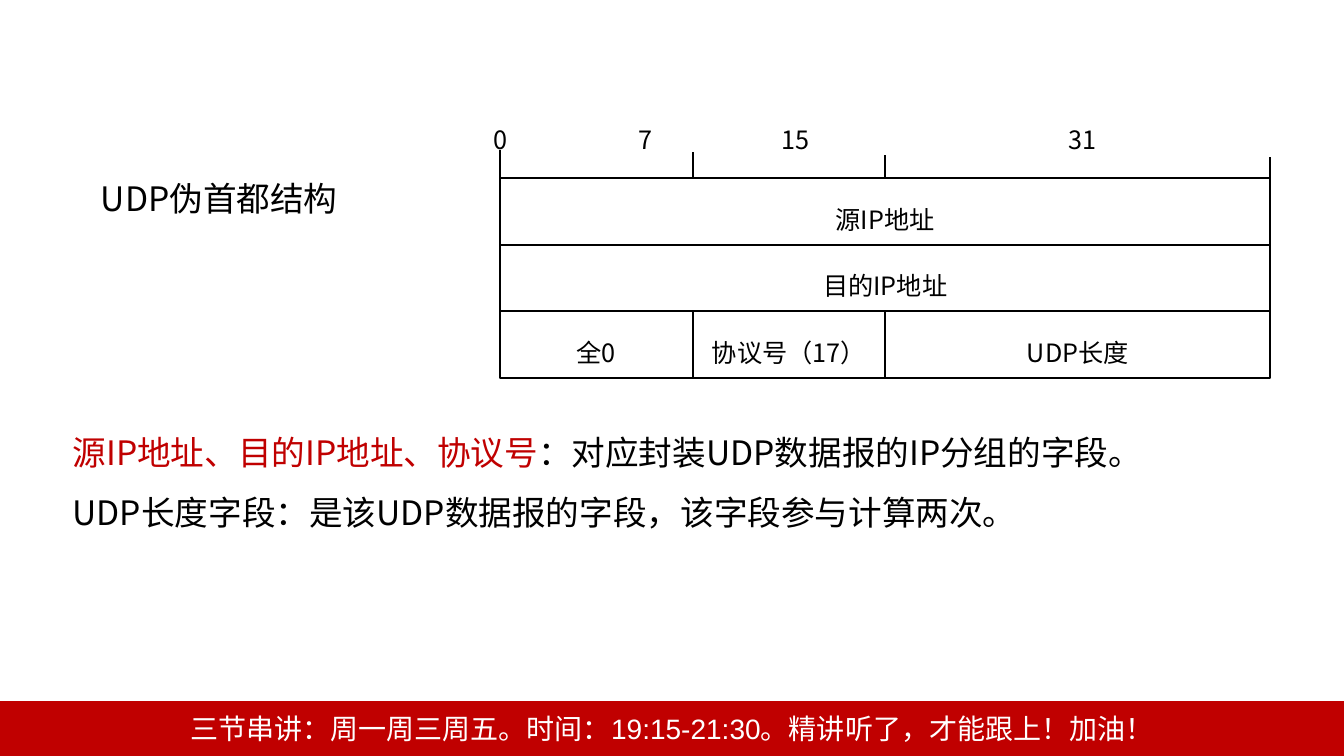
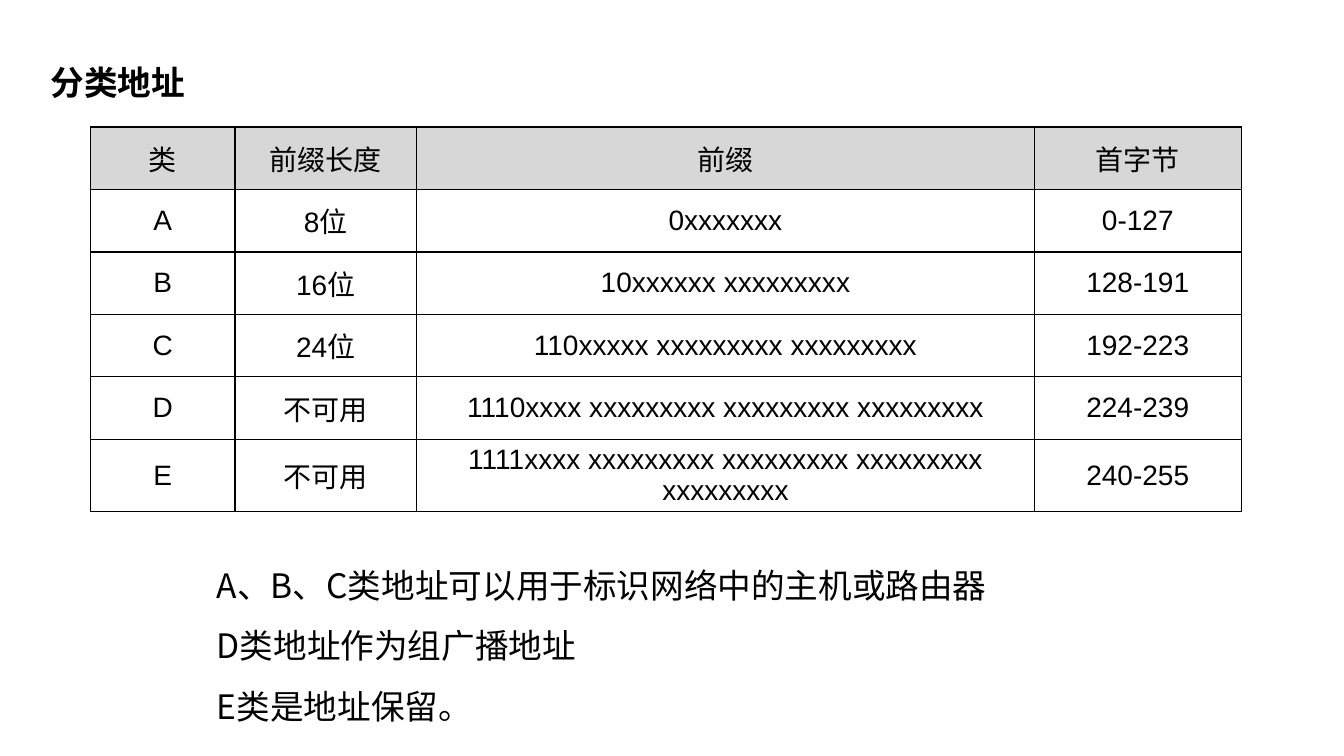
from dataclasses import dataclass
from typing import Any, NamedTuple

from lxml.etree import SubElement
from pptx import Presentation
from pptx.dml.color import RGBColor
from pptx.enum.shapes import MSO_CONNECTOR as Connector, MSO_SHAPE as Preset
from pptx.enum.text import MSO_ANCHOR as Anchor, MSO_AUTO_SIZE as AutoSize, PP_ALIGN as Align
from pptx.oxml.ns import qn
from pptx.util import Pt

BLACK = RGBColor(0x00, 0x00, 0x00)
WHITE = RGBColor(0xFF, 0xFF, 0xFF)
RED = RGBColor(0xC0, 0x00, 0x00)
GREY = RGBColor(0xD7, 0xD7, 0xD7)

EMU_PER_PX = 9144
SLIDE_W, SLIDE_H = 1333, 750
CJK_FONT, LATIN_FONT = "Noto Sans CJK SC", "Arial"

LOOSE = {"alignment": Align.LEFT, "line_spacing": 1.5, "space_before": Pt(0)}
HEADING = LOOSE | {"line_spacing": Pt(37)}
CENTRED = {"alignment": Align.CENTER}
CENTRED_LOOSE = CENTRED | {"line_spacing": 1.5}
TEXT_FONT = {"size": Pt(24), "name": CJK_FONT, "bold": False}
HEADING_FONT = TEXT_FONT | {"bold": True}
FIELD_FONT = TEXT_FONT | {"size": Pt(18)}
TABLE_FONT = {"size": Pt(20), "name": LATIN_FONT, "bold": False}
TOP_FRAME = {"word_wrap": True, "auto_size": AutoSize.NONE, "vertical_anchor": Anchor.TOP}
MIDDLE_FRAME = TOP_FRAME | {"vertical_anchor": Anchor.MIDDLE}


class Box(NamedTuple):
    left: int
    top: int
    width: int
    height: int


class Span(NamedTuple):
    text: str
    color: RGBColor = BLACK


@dataclass(frozen=True)
class HeaderField:
    label: str
    row: int
    first_octet: int
    octets: int


@dataclass(frozen=True)
class OctetTick:
    octet: int
    top: int
    bottom: int


HEADER_LEFT, HEADER_TOP, OCTET_W, FIELD_H = 496, 177, 191, 66
HEADER_FIELDS = [
    HeaderField("目的IP地址", 1, 0, 4),
    HeaderField("源IP地址", 0, 0, 4),
    HeaderField("全0", 2, 0, 1),
    HeaderField("UDP长度", 2, 2, 2),
    HeaderField("协议号（17）", 2, 1, 1),
]
OCTET_TICKS = [
    OctetTick(0, 149, 185),
    OctetTick(1, 151, 177),
    OctetTick(2, 154, 177),
    OctetTick(4, 156, 192),
]
BIT_NUMBERS = ["0", "7", "15", "31"]
BIT_TABS = [143, 285, 570]

CLASS_COLUMNS = [143, 180, 613, 205]
CLASS_ROW_H = 62
OCTET = "xxxxxxxxx"
ADDRESS_CLASSES = [
    ["类", "前缀长度", "前缀", "首字节"],
    ["A", "8位", "0xxxxxxx", "0-127"],
    ["B", "16位", f"10xxxxxx {OCTET}", "128-191"],
    ["C", "24位", f"110xxxxx {OCTET} {OCTET}", "192-223"],
    ["D", "不可用", f"1110xxxx {OCTET} {OCTET} {OCTET}", "224-239"],
    ["E", "不可用", f"1111xxxx {OCTET} {OCTET} {OCTET} {OCTET}", "240-255"],
]


def px(length: int) -> int:
    return length * EMU_PER_PX


def emu(box: Box) -> list[int]:
    return [px(length) for length in box]


def apply(target: Any, values: dict[str, Any]) -> None:
    for name, value in values.items():
        setattr(target, name, value)


def write(frame: Any, lines: list[list[Span]], layout: dict, font: dict) -> None:
    for number, spans in enumerate(lines):
        paragraph = frame.add_paragraph() if number else frame.paragraphs[0]
        apply(paragraph, layout)
        for span in spans:
            run = paragraph.add_run()
            run.text = span.text
            apply(run.font, font)
            run.font.color.rgb = span.color
            SubElement(run._r.get_or_add_rPr(), qn("a:ea"), typeface=CJK_FONT)


def fill_placeholder(holder: Any, box: Box, lines: list[list[Span]],
                     layout: dict, font: dict) -> None:
    holder.left, holder.top, holder.width, holder.height = emu(box)
    apply(holder.text_frame, TOP_FRAME)
    write(holder.text_frame, lines, layout, font)
    for paragraph in holder.text_frame.paragraphs:
        properties = paragraph._p.get_or_add_pPr()
        properties.set("marL", "0")
        properties.set("indent", "0")
        SubElement(properties, qn("a:buNone"))


def add_panel(slide: Any, box: Box, span: Span, layout: dict, font: dict,
              fill: RGBColor | None, line: RGBColor, weight: float) -> None:
    panel = slide.shapes.add_shape(Preset.RECTANGLE, *emu(box))
    panel.shadow.inherit = False
    if fill is None:
        panel.fill.background()
    else:
        panel.fill.solid()
        panel.fill.fore_color.rgb = fill
    panel.line.color.rgb = line
    panel.line.width = Pt(weight)
    apply(panel.text_frame, MIDDLE_FRAME)
    write(panel.text_frame, [[span]], layout, font)


def octet_x(octet: int) -> int:
    return HEADER_LEFT + octet * OCTET_W


def add_header_diagram(slide: Any) -> None:
    for field in HEADER_FIELDS:
        box = Box(octet_x(field.first_octet), HEADER_TOP + field.row * FIELD_H,
                  field.octets * OCTET_W, FIELD_H)
        add_panel(slide, box, Span(field.label), CENTRED_LOOSE, FIELD_FONT, None, BLACK, 1.5)
    for tick in OCTET_TICKS:
        x = px(octet_x(tick.octet))
        mark = slide.shapes.add_connector(Connector.STRAIGHT, x, px(tick.top), x, px(tick.bottom))
        mark.line.color.rgb = BLACK
        mark.line.width = Pt(1.5)
        SubElement(mark._element.spPr, qn("a:effectLst"))
    ruler = slide.shapes.add_textbox(*emu(Box(480, 103, 812, 50))).text_frame
    apply(ruler, TOP_FRAME)
    tabs = SubElement(ruler.paragraphs[0]._p.get_or_add_pPr(), qn("a:tabLst"))
    for stop in BIT_TABS:
        SubElement(tabs, qn("a:tab"), pos=str(px(stop)), algn="l")
    write(ruler, [[Span("\t".join(BIT_NUMBERS))]], LOOSE, FIELD_FONT)


def format_cell(cell: Any, text: str, is_header: bool) -> None:
    cell.vertical_anchor = Anchor.MIDDLE
    write(cell.text_frame, [[Span(text)]], CENTRED, TABLE_FONT)
    properties = cell._tc.get_or_add_tcPr()
    for side in ("lnL", "lnR", "lnT", "lnB"):
        border = SubElement(properties, qn(f"a:{side}"), w=str(Pt(1)))
        SubElement(SubElement(border, qn("a:solidFill")), qn("a:srgbClr"), val=str(BLACK))
    if is_header:
        cell.fill.solid()
        cell.fill.fore_color.rgb = GREY
    else:
        cell.fill.background()


def add_class_table(slide: Any) -> None:
    box = Box(90, 126, sum(CLASS_COLUMNS), CLASS_ROW_H * len(ADDRESS_CLASSES))
    classes = slide.shapes.add_table(len(ADDRESS_CLASSES), len(CLASS_COLUMNS), *emu(box)).table
    apply(classes, {"first_row": False, "horz_banding": False})
    for column, width in zip(classes.columns, CLASS_COLUMNS):
        column.width = px(width)
    for row_number, values in enumerate(ADDRESS_CLASSES):
        classes.rows[row_number].height = px(CLASS_ROW_H)
        for column_number, text in enumerate(values):
            format_cell(classes.cell(row_number, column_number), text, row_number == 0)


def build_pseudo_header(deck: Any) -> None:
    slide = deck.slides.add_slide(deck.slide_layouts[1])
    fill_placeholder(slide.shapes.title, Box(90, 151, 289, 64),
                     [[Span("UDP伪首都结构")]], LOOSE, TEXT_FONT)
    fill_placeholder(slide.placeholders[1], Box(62, 403, 1216, 131), [
        [Span("源IP地址、目的IP地址、协议号", RED),
         Span("：对应封装UDP数据报的IP分组的字段。")],
        [Span("UDP长度字段：是该UDP数据报的字段，该字段参与计算两次。")],
    ], LOOSE, TEXT_FONT)
    add_header_diagram(slide)
    schedule = Span("三节串讲：周一周三周五。时间：19:15-21:30。精讲听了，才能跟上！加油！", WHITE)
    add_panel(slide, Box(0, 696, SLIDE_W, 54), schedule, CENTRED, TABLE_FONT, RED, RED, 1)


def build_address_classes(deck: Any) -> None:
    slide = deck.slides.add_slide(deck.slide_layouts[1])
    fill_placeholder(slide.shapes.title, Box(40, 45, 526, 57),
                     [[Span("分类地址")]], HEADING, HEADING_FONT)
    add_class_table(slide)
    fill_placeholder(slide.placeholders[1], Box(205, 535, 955, 192), [
        [Span("A、B、C类地址可以用于标识网络中的主机或路由器")],
        [Span("D类地址作为组广播地址")],
        [Span("E类是地址保留。")],
    ], LOOSE, TEXT_FONT)


def main() -> None:
    deck = Presentation()
    deck.slide_width, deck.slide_height = px(SLIDE_W), px(SLIDE_H)
    build_pseudo_header(deck)
    build_address_classes(deck)
    deck.save("out.pptx")


if __name__ == "__main__":
    main()
